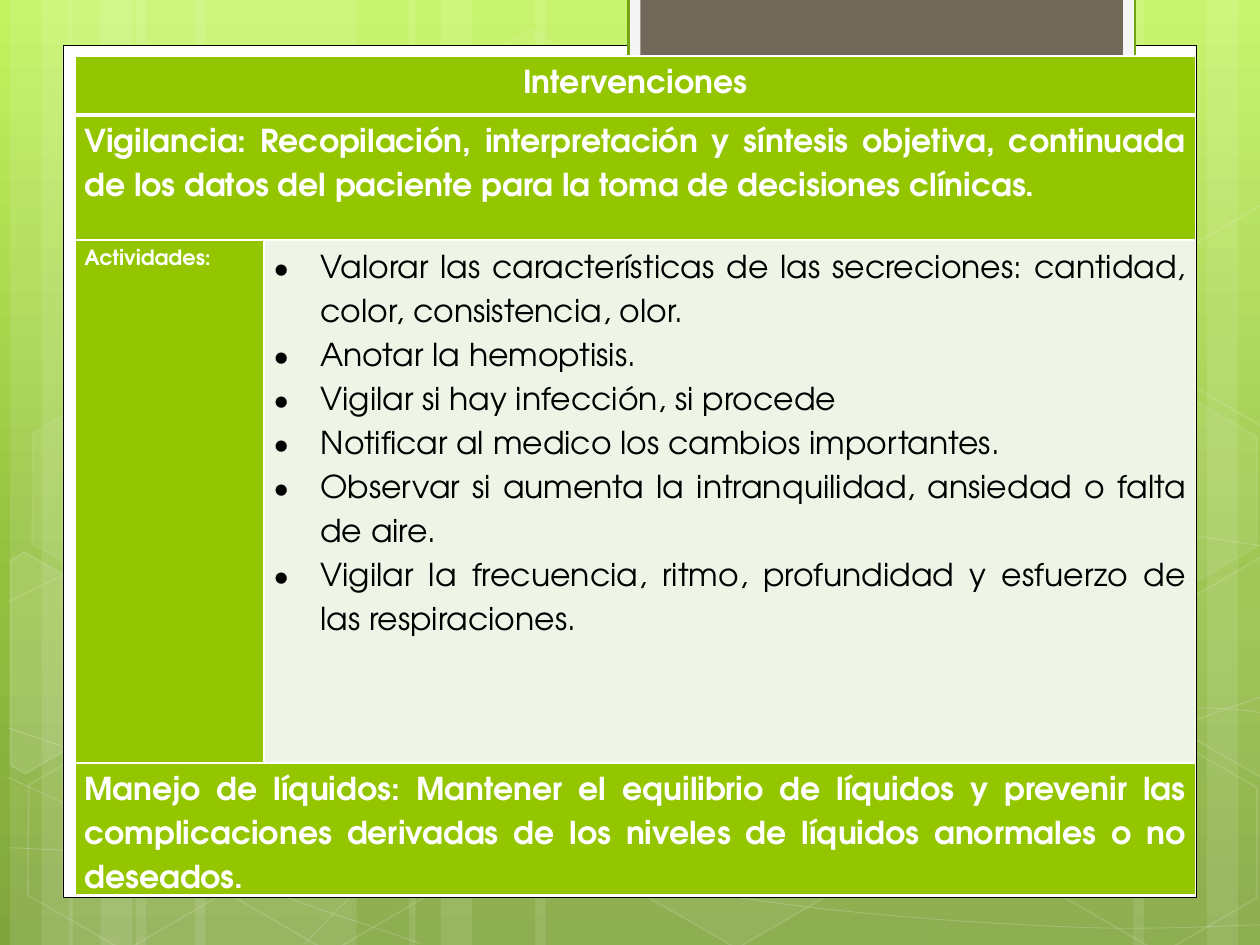
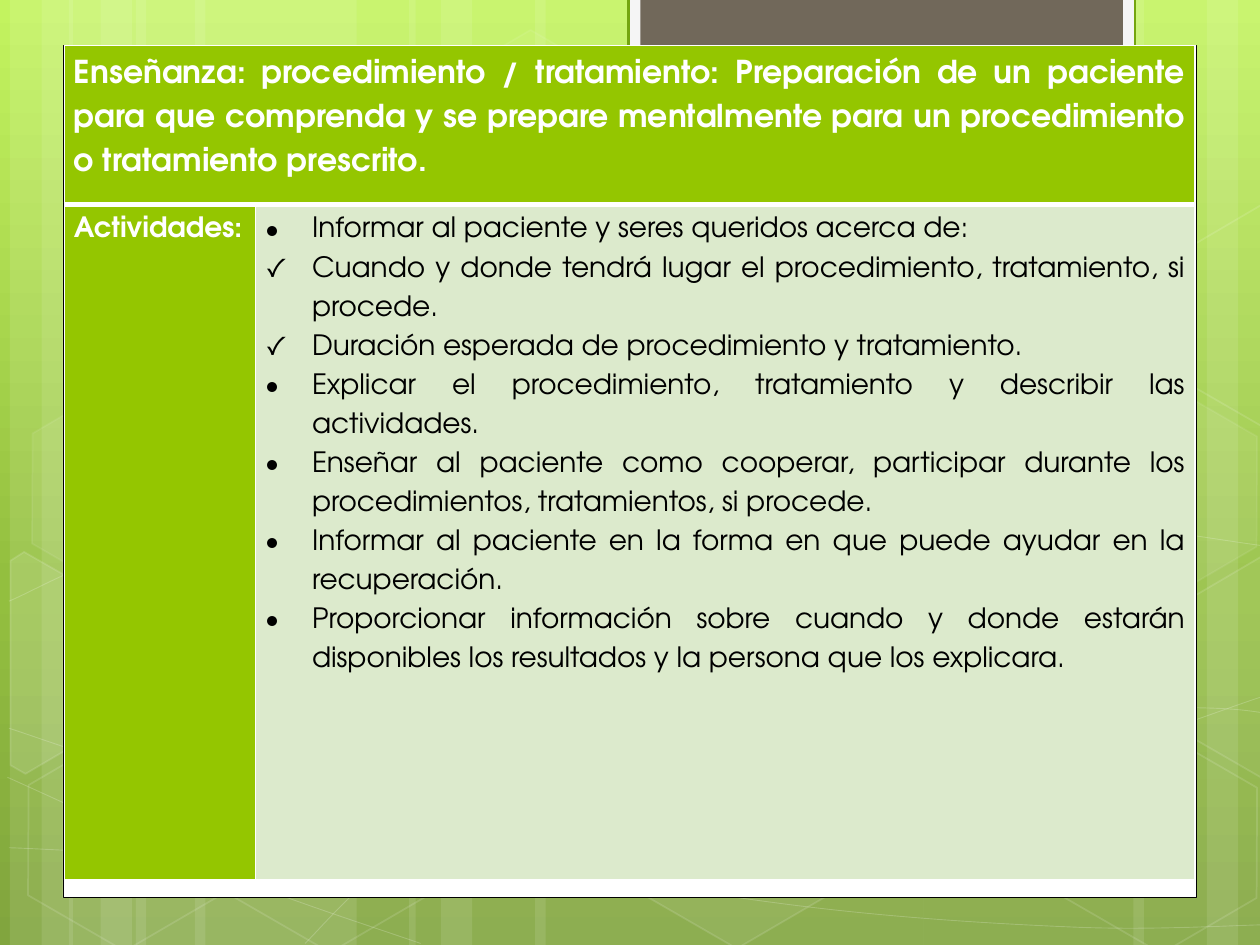
import copy

import lxml.etree
import pptx
import pptx.dml.color
import pptx.enum.shapes
import pptx.enum.text
import pptx.oxml.ns
import pptx.util

Cm, Pt = pptx.util.Cm, pptx.util.Pt
qn = pptx.oxml.ns.qn
SHAPES = pptx.enum.shapes.MSO_SHAPE
ALIGN = pptx.enum.text.PP_ALIGN

FONT = "TeX Gyre Adventor"
WHITE, BLACK, GREEN = "FFFFFF", "000000", "94C600"
PALE, SOFT = "EEF5E7", "DCEACC"
BACKGROUND = [("C3F35F", 0), ("93BF3F", 0.62), ("81A53E", 1)]
SLIDE_BOX = (0, 0, 25.4, 19.05)
PANEL_BOX = (1.27, 0.92, 22.86, 17.18)
TAB_BOX = (12.67, -0.05, 10.21, 1.93)

# Decoration, in cm: band trios as (offset, width of the widest band)
BAND_TRIOS = [(0, 4.45), (1.19, 4.45), (8.05, 7.82)]
MIRROR_WIDTH = 25.8
CURVES = [
    [(0.18, 17.09), (4.83, 17.22), (11.63, 16.89), (20.12, 15.67), (25.58, 14)],
    [(0.18, 12.12), (3.07, 10.95), (8.81, 9.83), (16.61, 9.83), (25.58, 11.02)],
    [(0.15, 15.67), (4.64, 17.66), (8.48, 19.02)],
    [(0.18, 14.68), (3.25, 15.65), (9.07, 17.09), (15.95, 18.24),
     (21.67, 18.69), (25.58, 18.64)],
    [(6.15, 19.02), (7.67, 17.55), (9.86, 16.23), (11.94, 15.47), (15.44, 14.68),
     (17.27, 14.45), (20.17, 14.27), (24.21, 14.27), (25.55, 14.38)],
]
# Left, top, fill opacity and line opacity in percent
HEXAGONS = [
    (8.48, 0.91, 4, 8), (12.62, 14.96, 6, 12), (0.28, 15.01, 0, 12),
    (0.36, 7.92, 7, 8), (4.42, 15.04, 0, 12), (19.13, 11.51, 10, 12),
    (21.18, 15.06, 0, 12), (21.18, 7.98, 7, 8),
]
# Hexagons cut by the slide's edge: corners before rotation, from the box's corner
LEFT_CUT = [(0, 0.3), (0.15, 0.01), (2.41, 0), (3.5, 1.95), (2.41, 3.87), (2.06, 3.87)]
RIGHT_CUT = [(0, 1.92), (1.09, 0), (1.33, 0.01), (3.45, 3.68), (3.35, 3.86), (1.12, 3.86)]
CUT_HEXAGONS = [(-0.84, 11.66, LEFT_CUT, 10), (23.29, 11.28, RIGHT_CUT, 4),
                (23.29, 4.19, RIGHT_CUT, 0)]


def paint(color_format, hex_color, opacity=100):
    color_format.rgb = pptx.dml.color.RGBColor.from_string(hex_color)
    if opacity < 100:
        color = color_format._xFill.find(qn("a:srgbClr"))
        lxml.etree.SubElement(color, qn("a:alpha")).set("val", str(opacity * 1000))


def style(shape, fill=None, fill_opacity=100, line=None, line_width=1, line_opacity=100):
    shape.shadow.inherit = False
    if fill and fill_opacity:
        shape.fill.solid()
        paint(shape.fill.fore_color, fill, fill_opacity)
    else:
        shape.fill.background()
    if line:
        shape.line.width = Pt(line_width)
        shape.line.fill.solid()
        paint(shape.line.fill.fore_color, line, line_opacity)
    else:
        shape.line.fill.background()
    return shape


def add_preset(slide, preset, box, **look):
    return style(slide.shapes.add_shape(preset, *map(Cm, box)), **look)


def add_outline(slide, points, close, **look):
    corners = [(Cm(x), Cm(y)) for x, y in points]
    builder = slide.shapes.build_freeform(*corners[0], scale=1.0)
    builder.add_line_segments(corners[1:], close=close)
    return style(builder.convert_to_shape(), **look)


def add_curve(slide, anchors, **look):
    """Smooth curve through the anchors, one cubic segment between each two."""
    padded = [anchors[0], *anchors, anchors[-1]]
    points = [anchors[0]]
    for a, b, c, d in zip(padded, padded[1:], padded[2:], padded[3:]):
        points.append(tuple(q + (r - p) / 6 for p, q, r in zip(a, b, c)))
        points.append(tuple(r - (s - q) / 6 for q, r, s in zip(b, c, d)))
        points.append(c)
    curve = add_outline(slide, points, False, **look)
    lines = list(curve.element.iter(qn("a:lnTo")))
    outline = lines[0].getparent()
    for start in range(0, len(lines), 3):
        cubic = lxml.etree.SubElement(outline, qn("a:cubicBezTo"))
        for line in lines[start:start + 3]:
            cubic.append(line[0])
            outline.remove(line)


def fill_background(layout):
    fill = layout.background.fill
    fill.gradient()
    fill.gradient_angle = 270
    stop_list = fill.gradient_stops[0]._gs.getparent()
    stop_list.insert(1, copy.deepcopy(stop_list[0]))
    for stop, (color, position) in zip(fill.gradient_stops, BACKGROUND):
        paint(stop.color, color)
        stop.position = position


def draw_bands(slide, box):
    left, top, width, height = box
    bands = [(start + offset, span) for offset, wide in BAND_TRIOS
             for start, span in ((2.74, wide), (0.2, 1.27), (0.84, 2.11))]
    bands += [(MIRROR_WIDTH - start - span, span) for start, span in bands[:3]]
    for start, span in bands:
        add_preset(slide, SHAPES.RECTANGLE, (left + start, top, span, height),
                   fill=WHITE, fill_opacity=10)


def draw_curves_and_hexagons(slide):
    for anchors in CURVES:
        add_curve(slide, anchors, line=WHITE, line_width=0.5, line_opacity=20)
    for left, top, fill_opacity, line_opacity in HEXAGONS:
        hexagon = add_preset(slide, SHAPES.HEXAGON, (left, top, 4.45, 3.86),
                             fill=WHITE, fill_opacity=fill_opacity,
                             line=WHITE, line_opacity=line_opacity)
        hexagon.adjustments[0] = 0.285
        hexagon.rotation = 30
    for left, top, corners, opacity in CUT_HEXAGONS:
        cut = add_outline(slide, [(left + x, top + y) for x, y in corners], True,
                          fill=WHITE, fill_opacity=opacity, line=WHITE, line_opacity=12)
        cut.rotation = 30


def draw_panel(slide, panel, tab):
    left, top, width, height = tab
    add_preset(slide, SHAPES.RECTANGLE, panel, fill=WHITE, line=BLACK, line_width=0.5)
    add_preset(slide, SHAPES.RECTANGLE, tab, fill="F5F5F5", line="74A510", line_width=1.25)
    add_preset(slide, SHAPES.RECTANGLE, (left + 0.24, top, width - 0.48, height - 0.2),
               fill="71685A")


def decorate_layout(layout, slide):
    """Draw the shared decoration on a slide, then hand it to the layout."""
    for placeholder in list(layout.placeholders):
        placeholder.element.getparent().remove(placeholder.element)
    fill_background(layout)
    draw_bands(slide, SLIDE_BOX)
    draw_curves_and_hexagons(slide)
    draw_panel(slide, PANEL_BOX, TAB_BOX)
    for shape in list(slide.shapes):
        layout.shapes.element.append(shape.element)


def write(paragraph, text, size=18, color=WHITE, bold=True, align=ALIGN.JUSTIFY, bullet=None):
    paragraph.alignment = align
    paragraph.line_spacing = 1.5
    if bullet:
        properties = paragraph._p.get_or_add_pPr()
        properties.set("marL", str(Cm(0.95)))
        properties.set("indent", str(-Cm(0.95)))
        lxml.etree.SubElement(properties, qn("a:buFont")).set("typeface", FONT)
        lxml.etree.SubElement(properties, qn("a:buChar")).set("char", bullet)
    run = paragraph.add_run()
    run.text = text
    run.font.name, run.font.size, run.font.bold = FONT, Pt(size), bold
    paint(run.font.color, color)


def style_cell(cell, fill, top_width, bottom_width):
    cell.margin_left = cell.margin_right = Cm(0.19)
    cell.margin_top = cell.margin_bottom = 0
    properties = cell._tc.get_or_add_tcPr()
    for side, width in (("L", 1), ("R", 1), ("T", top_width), ("B", bottom_width)):
        border = lxml.etree.SubElement(properties, qn(f"a:ln{side}"), w=str(Pt(width)))
        solid = lxml.etree.SubElement(border, qn("a:solidFill"))
        lxml.etree.SubElement(solid, qn("a:srgbClr"), val=WHITE)
    cell.fill.solid()
    paint(cell.fill.fore_color, fill)


def draw_care_table(slide, corner, widths, heights, rows, list_fill, label_size, list_size):
    """A row is a full-width heading (text, format) or (label, [(bullet, text)])."""
    table = slide.shapes.add_table(
        len(rows), 2, *map(Cm, (*corner, sum(widths), sum(heights)))).table
    for column, width in zip(table.columns, widths):
        column.width = Cm(width)
    for index, (text, detail) in enumerate(rows):
        table.rows[index].height = Cm(heights[index])
        first, second = table.cell(index, 0), table.cell(index, 1)
        is_heading = isinstance(detail, dict)
        for cell, fill in ((first, GREEN), (second, GREEN if is_heading else list_fill)):
            style_cell(cell, fill, 3 if index == 1 else 1, 3 if index == 0 else 1)
        label = first.text_frame.paragraphs[0]
        if is_heading:
            first.merge(second)
            write(label, text, **detail)
            continue
        write(label, text, size=label_size)
        activities = second.text_frame
        for number, (bullet, activity) in enumerate(detail):
            paragraph = activities.add_paragraph() if number else activities.paragraphs[0]
            write(paragraph, activity, size=list_size, color=BLACK, bold=False, bullet=bullet)


SURVEILLANCE_ROWS = [
    ("Intervenciones", {"align": ALIGN.CENTER}),
    ("Vigilancia: Recopilación, interpretación y síntesis objetiva, continuada de los "
     "datos del paciente para la toma de decisiones clínicas.", {}),
    ("Actividades:", [
        ("•", "Valorar las características de las secreciones: cantidad, color, "
              "consistencia, olor."),
        ("•", "Anotar la hemoptisis."),
        ("•", "Vigilar si hay infección, si procede"),
        ("•", "Notificar al medico los cambios importantes."),
        ("•", "Observar si aumenta la intranquilidad, ansiedad o falta de aire."),
        ("•", "Vigilar la frecuencia, ritmo, profundidad y esfuerzo de las respiraciones."),
    ]),
    ("Manejo de líquidos: Mantener el equilibrio de líquidos y prevenir las complicaciones "
     "derivadas de los niveles de líquidos anormales o no deseados.", {}),
]
TEACHING_ROWS = [
    ("Enseñanza: procedimiento / tratamiento: Preparación de un paciente para que comprenda "
     "y se prepare mentalmente para un procedimiento o tratamiento prescrito.", {}),
    ("Actividades:", [
        ("•", "Informar al paciente y seres queridos acerca de:"),
        ("✓", "Cuando y donde tendrá lugar el procedimiento, tratamiento, si procede."),
        ("✓", "Duración esperada de procedimiento y tratamiento."),
        ("•", "Explicar el procedimiento, tratamiento y describir las actividades."),
        ("•", "Enseñar al paciente como cooperar, participar durante los procedimientos, "
              "tratamientos, si procede."),
        ("•", "Informar al paciente en la forma en que puede ayudar en la recuperación."),
        ("•", "Proporcionar información sobre cuando y donde estarán disponibles los "
              "resultados y la persona que los explicara."),
    ]),
]


def main():
    deck = pptx.Presentation()
    deck.slide_width, deck.slide_height = Cm(SLIDE_BOX[2]), Cm(SLIDE_BOX[3])
    layout = deck.slide_layouts[6]

    surveillance = deck.slides.add_slide(layout)
    decorate_layout(layout, surveillance)
    draw_care_table(surveillance, (1.51, 1.13), (3.81, 18.78), (1.19, 2.52, 10.54, 2.54),
                    SURVEILLANCE_ROWS, PALE, label_size=12, list_size=18)

    teaching = deck.slides.add_slide(layout)
    draw_care_table(teaching, (1.3, 0.92), (3.85, 18.94), (3.2, 13.61),
                    TEACHING_ROWS, SOFT, label_size=16, list_size=16)
    deck.save("out.pptx")


if __name__ == "__main__":
    main()
